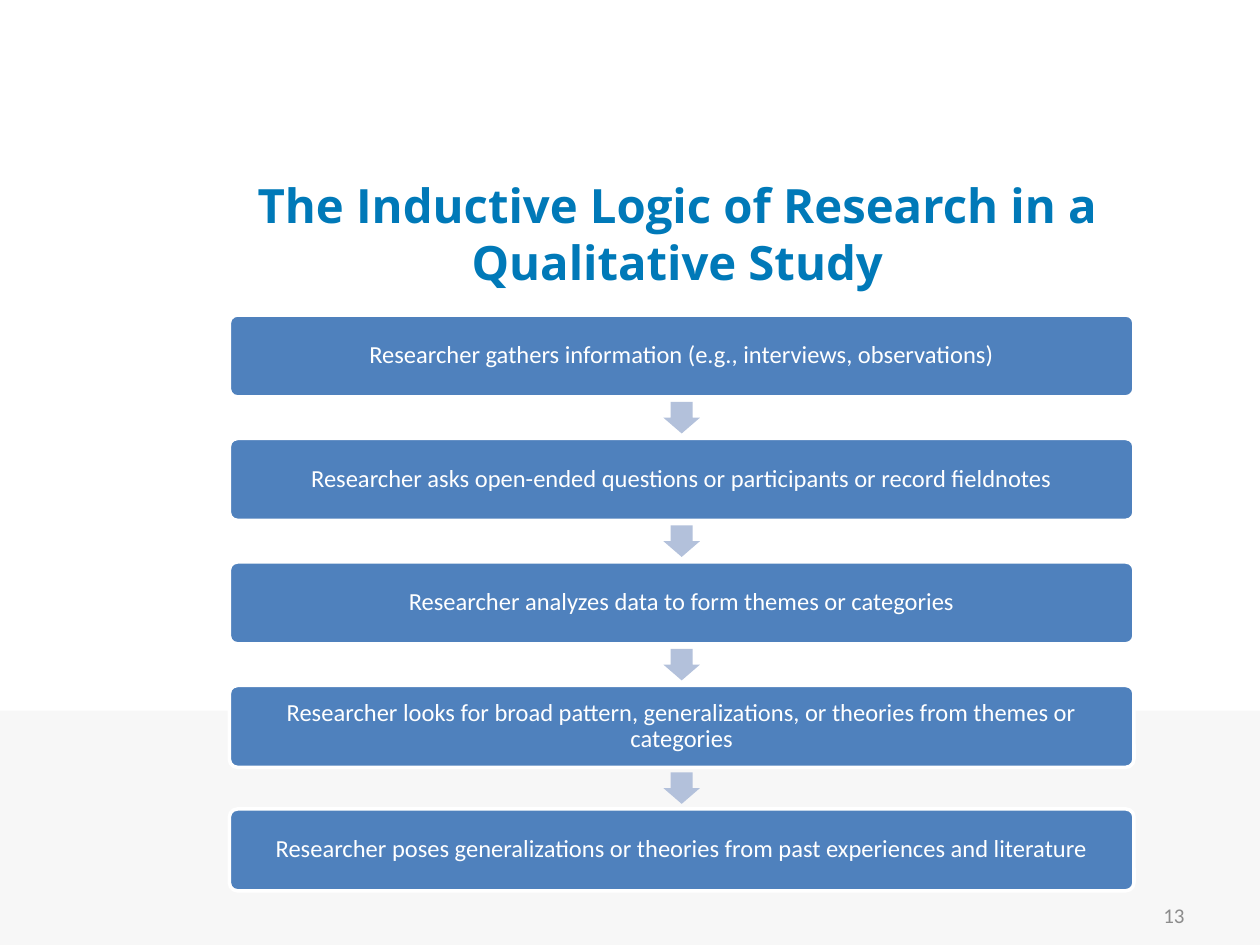
"""Build a slide with a five-step vertical flow of inductive research."""
from pptx import Presentation
from pptx.dml.color import RGBColor
from pptx.enum.shapes import MSO_SHAPE
from pptx.enum.text import MSO_ANCHOR, PP_ALIGN
from pptx.util import Inches, Pt

RECT, ROUNDED, ARROW = MSO_SHAPE.RECTANGLE, MSO_SHAPE.ROUNDED_RECTANGLE, MSO_SHAPE.RIGHT_ARROW
MIDDLE, CENTER, RIGHT = MSO_ANCHOR.MIDDLE, PP_ALIGN.CENTER, PP_ALIGN.RIGHT

WHITE = RGBColor(0xFF, 0xFF, 0xFF)
BAND_GRAY = RGBColor(0xF7, 0xF7, 0xF7)
TITLE_BLUE = RGBColor(0x00, 0x79, 0xB8)
STEP_BLUE = RGBColor(0x4F, 0x81, 0xBD)
ARROW_BLUE = RGBColor(0xB3, 0xC1, 0xDB)
NUMBER_GRAY = RGBColor(0x8C, 0x8C, 0x8C)

STEPS = [
    "Researcher gathers information (e.g., interviews, observations)",
    "Researcher asks open-ended questions or participants or record fieldnotes",
    "Researcher analyzes data to form themes or categories",
    "Researcher looks for broad pattern, generalizations, or theories from themes or categories",
    "Researcher poses generalizations or theories from past experiences and literature",
]


def add_block(s, kind, box, fill):
    """Add a filled preset shape without outline or shadow."""
    sp = s.shapes.add_shape(kind, *map(Inches, box))
    sp.shadow.inherit = False
    sp.fill.solid()
    sp.fill.fore_color.rgb = fill
    sp.line.fill.background()
    return sp


def set_text(sp, text, font, size, color, align=CENTER, bold=False):
    """Fill a shape with one vertically centred paragraph and return it."""
    tf = sp.text_frame
    tf.word_wrap = True
    tf.vertical_anchor = MIDDLE
    tf.text = text
    p = tf.paragraphs[0]
    p.alignment = align
    f = p.runs[0].font
    f.name, f.size, f.bold = font, Pt(size), bold
    f.color.rgb = color
    return p


def add_label(s, box, *args, **kwargs):
    """Add a text box with one formatted paragraph."""
    sp = s.shapes.add_textbox(*map(Inches, box))
    set_text(sp, *args, **kwargs)


def add_step(s, box, text):
    """Add one rounded step box with its caption."""
    sp = add_block(s, ROUNDED, box, STEP_BLUE)
    sp.adjustments[0] = 0.1
    sp.line.color.rgb = WHITE
    sp.line.width = Pt(2)
    tf = sp.text_frame
    tf.margin_left = tf.margin_right = Inches(0.08)
    tf.margin_top = tf.margin_bottom = Inches(0.06)
    set_text(sp, text, "Calibri", 14, WHITE).line_spacing = 0.9


def add_flow(s, box, steps, step_h=0.65, arrow_w=0.25, arrow_h=0.29):
    """Stack the steps evenly in the box with a down arrow in each gap."""
    x, y, w, h = box
    pitch = (h - step_h) / (len(steps) - 1)
    for i, text in enumerate(steps):
        top = y + i * pitch
        if i:
            gap_mid = top - (pitch - step_h) / 2
            arrow_box = (x + (w - arrow_w) / 2, gap_mid - arrow_h / 2, arrow_w, arrow_h)
            arrow = add_block(s, ARROW, arrow_box, ARROW_BLUE)
            arrow.rotation = 90
            arrow.adjustments[0] = 0.6
            arrow.adjustments[1] = 0.5
        add_step(s, (x, top, w, step_h), text)


def main():
    """Build and save the slide."""
    prs = Presentation()
    prs.slide_width, prs.slide_height = Inches(10), Inches(7.5)
    s = prs.slides.add_slide(prs.slide_layouts[6])
    add_block(s, RECT, (0, 5.64, 10, 1.86), BAND_GRAY)
    add_label(s, (1.25, 1.5, 8.25, 0.7), "The Inductive Logic of Research in a Qualitative Study",
              "Open Sans", 27, TITLE_BLUE, bold=True)
    add_label(s, (7.17, 7.06, 2.33, 0.4), "13", "Calibri", 12, NUMBER_GRAY, RIGHT)
    add_flow(s, (1.82, 2.5, 7.18, 4.57), STEPS)
    prs.save("out.pptx")


main()
